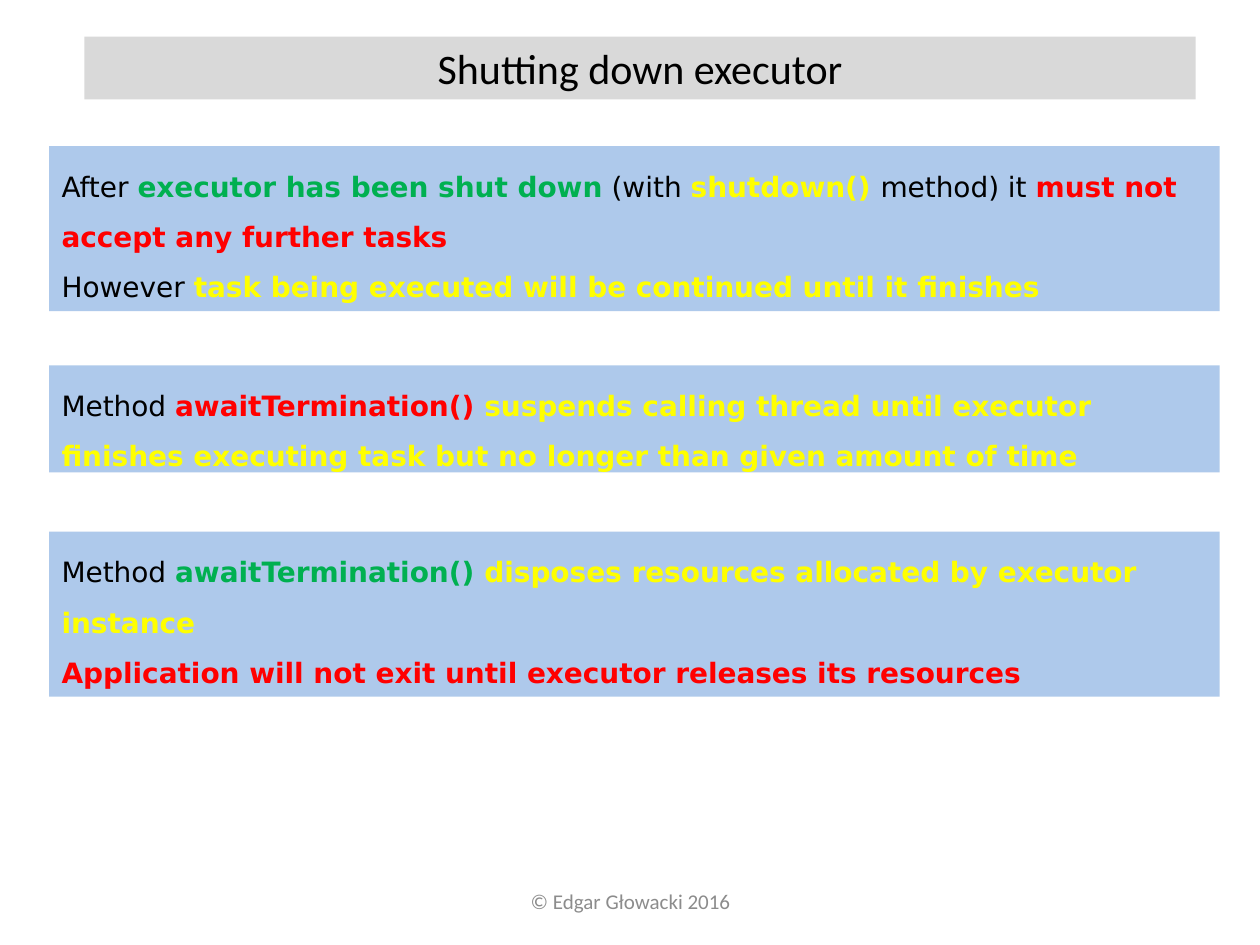
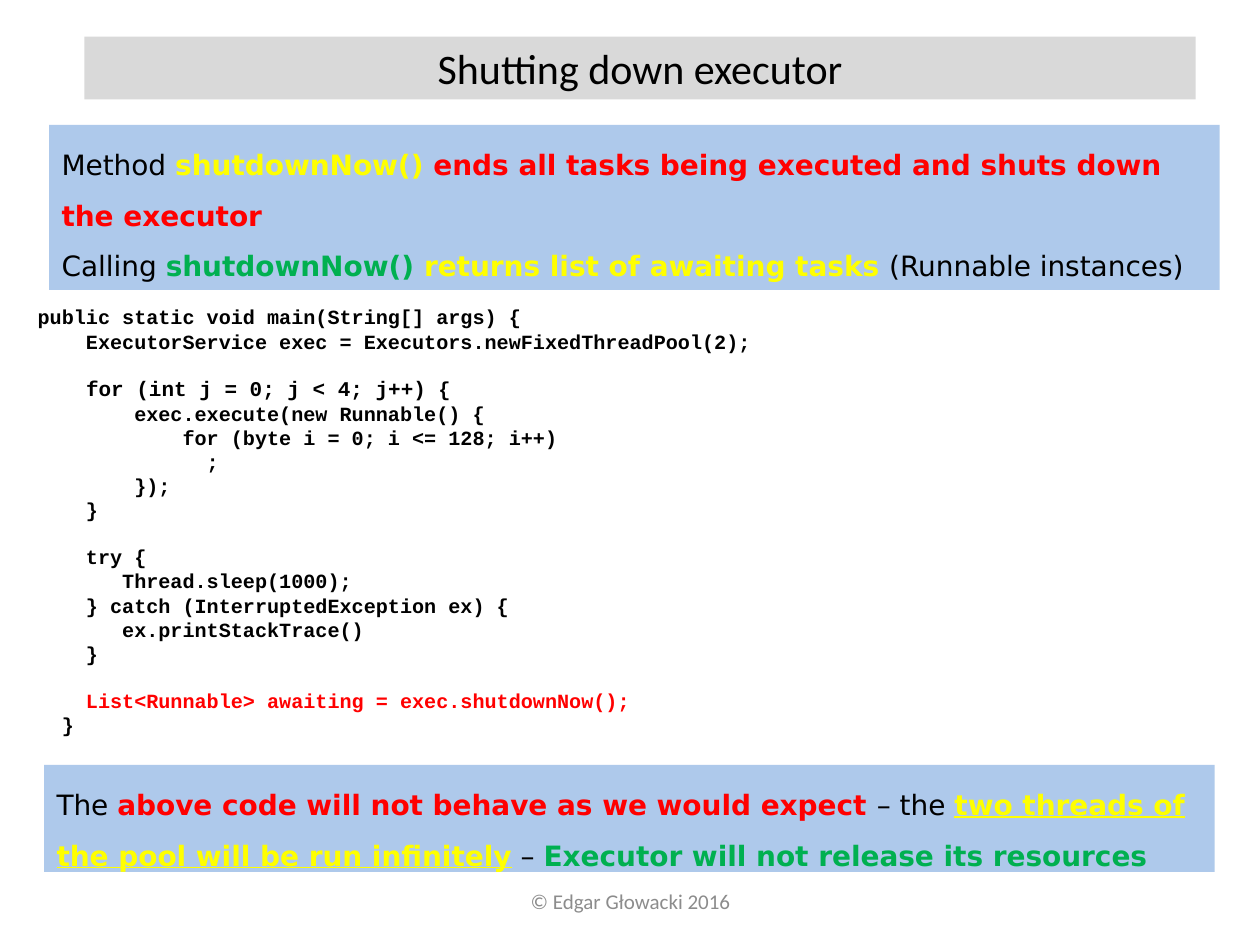
from lxml.etree import SubElement
from pptx import Presentation
from pptx.dml.color import RGBColor
from pptx.enum.shapes import MSO_SHAPE
from pptx.enum.text import MSO_ANCHOR, MSO_AUTO_SIZE, PP_ALIGN
from pptx.oxml.ns import qn
from pptx.util import Inches, Pt

BLACK, RED, GREEN, YELLOW = "000000", "FF0000", "00B050", "FFFF00"
TITLE_FILL, NOTE_FILL, FOOTER_COLOUR = "D9D9D9", "8EB4E3", "8C8C8C"
NOTE_OPACITY = 71
NOTE_LEFT, NOTE_WIDTH = 0.39, 9.29
TWO_LINES, THREE_LINES = 0.85, 1.31
CODE_SIZE, CODE_LINE_HEIGHT = 11.5, 13

CODE = """\
public static void main(String[] args) {
    ExecutorService exec = Executors.newFixedThreadPool(2);

    for (int j = 0; j < 4; j++) {
        exec.execute(new Runnable() {
            for (byte i = 0; i <= 128; i++)
              ;
        });
    }

    try {
       Thread.sleep(1000);
    } catch (InterruptedException ex) {
       ex.printStackTrace()
    }

    List<Runnable> awaiting = exec.shutdownNow();
  }"""
LARGER_CODE = "for (int j = 0; j < 4; j++)"
RED_CODE = "List<Runnable> awaiting = exec.shutdownNow();"


def colour(hex_string):
    return RGBColor.from_string(hex_string)


def set_font(font, name, size, hex_string=BLACK, bold=False):
    font.name, font.size, font.bold = name, Pt(size), bold
    font.color.rgb = colour(hex_string)


def add_run(paragraph, text, hex_string=BLACK):
    run = paragraph.add_run()
    run.text = text
    run.font.color.rgb = colour(hex_string)
    return run


def each_paragraph(frame, items):
    """Pair every item with a paragraph, starting with the one the frame has."""
    for index, item in enumerate(items):
        yield frame.add_paragraph() if index else frame.paragraphs[0], item


def add_panel(slide, left, top, width, height, fill, opacity=100):
    shape = slide.shapes.add_shape(
        MSO_SHAPE.RECTANGLE, Inches(left), Inches(top), Inches(width), Inches(height))
    shape.shadow.inherit = False
    shape.line.fill.background()
    shape.fill.solid()
    shape.fill.fore_color.rgb = colour(fill)
    if opacity < 100:
        colour_element = shape.fill._xPr.find(".//" + qn("a:srgbClr"))
        SubElement(colour_element, qn("a:alpha"), val=str(opacity * 1000))
    frame = shape.text_frame
    frame.word_wrap = True
    frame.vertical_anchor = MSO_ANCHOR.TOP
    frame.auto_size = MSO_AUTO_SIZE.SHAPE_TO_FIT_TEXT
    return frame


def add_text_box(slide, left, top, width, height):
    frame = slide.shapes.add_textbox(
        Inches(left), Inches(top), Inches(width), Inches(height)).text_frame
    frame.word_wrap = True
    return frame


def add_centred_line(frame, text, size, hex_string=BLACK):
    paragraph = frame.paragraphs[0]
    paragraph.alignment = PP_ALIGN.CENTER
    set_font(paragraph.font, "Calibri", size, hex_string)
    add_run(paragraph, text, hex_string)


def add_base_slide(presentation, title):
    """Add a blank slide with the shared footer and title band."""
    slide = presentation.slides.add_slide(presentation.slide_layouts[6])
    footer = add_text_box(slide, 3.42, 6.95, 3.17, 0.4)
    footer.vertical_anchor = MSO_ANCHOR.MIDDLE
    add_centred_line(footer, "© Edgar Głowacki 2016", 12, FOOTER_COLOUR)
    add_centred_line(add_panel(slide, 0.67, 0.29, 8.82, 0.5, TITLE_FILL), title, 24)
    return slide


def add_note(slide, top, height, paragraphs, left=NOTE_LEFT):
    """Add a blue note; coloured words are bold, a third item underlines."""
    frame = add_panel(slide, left, top, NOTE_WIDTH, height, NOTE_FILL, NOTE_OPACITY)
    for paragraph, pieces in each_paragraph(frame, paragraphs):
        paragraph.alignment = PP_ALIGN.LEFT
        paragraph.line_spacing = 1.5
        set_font(paragraph.font, "DejaVu Sans", 16)
        for text, hex_string, *underline in pieces:
            run = add_run(paragraph, text, hex_string)
            run.font.bold = hex_string != BLACK
            if underline:
                run.font.underline = True


def add_code(slide, left, top, width, height):
    frame = add_text_box(slide, left, top, width, height)
    frame.auto_size = MSO_AUTO_SIZE.SHAPE_TO_FIT_TEXT
    lines = CODE.split("\n")
    after_gap = {line for gap, line in zip(lines, lines[1:]) if not gap}
    for paragraph, line in each_paragraph(frame, filter(None, lines)):
        if line in after_gap:
            paragraph.space_before = Pt(CODE_LINE_HEIGHT)
        set_font(paragraph.font, "Courier New", CODE_SIZE, bold=True)
        if LARGER_CODE in line:
            indent, end = line.split(LARGER_CODE)
            add_run(paragraph, indent)
            add_run(paragraph, LARGER_CODE).font.size = Pt(12)
            add_run(paragraph, end)
        else:
            add_run(paragraph, line, RED if RED_CODE in line else BLACK)


def build_shutdown_slide(presentation):
    slide = add_base_slide(presentation, "Shutting down executor")
    add_note(slide, 1.16, THREE_LINES, [
        [("After ", BLACK), ("executor has been shut down", GREEN), (" (with ", BLACK),
         ("shutdown() ", YELLOW), ("method) it ", BLACK),
         ("must not accept any further tasks", RED)],
        [("However ", BLACK),
         ("task being executed will be continued until it finishes", YELLOW)],
    ])
    add_note(slide, 2.9, TWO_LINES, [
        [("Method ", BLACK), ("awaitTermination() ", RED),
         ("suspends calling thread until executor finishes executing task "
          "but no longer than given amount of time", YELLOW)],
    ])
    add_note(slide, 4.22, THREE_LINES, [
        [("Method ", BLACK), ("awaitTermination() ", GREEN),
         ("disposes resources allocated by executor instance", YELLOW)],
        [("Application will not exit until executor releases its resources", RED)],
    ])


def build_shutdown_now_slide(presentation):
    slide = add_base_slide(presentation, "Shutting down executor")
    add_note(slide, 0.99, THREE_LINES, [
        [("Method ", BLACK), ("shutdownNow() ", YELLOW),
         ("ends all tasks being executed and shuts down the executor", RED)],
        [("Calling ", BLACK), ("shutdownNow() ", GREEN),
         ("returns list of awaiting tasks ", YELLOW), ("(Runnable instances)", BLACK)],
    ])
    add_code(slide, 0.2, 2.37, 9.45, 3.58)
    add_note(slide, 6.07, TWO_LINES, [
        [("The ", BLACK), ("above code will not behave as we would expect ", RED),
         ("– the ", BLACK),
         ("two threads of the pool will be run infinitely", YELLOW, True),
         (" – ", BLACK), ("Executor will not release its resources", GREEN)],
    ], left=0.35)


def main():
    presentation = Presentation()
    presentation.slide_width, presentation.slide_height = Inches(10), Inches(7.5)
    build_shutdown_slide(presentation)
    build_shutdown_now_slide(presentation)
    presentation.save("out.pptx")


if __name__ == "__main__":
    main()
